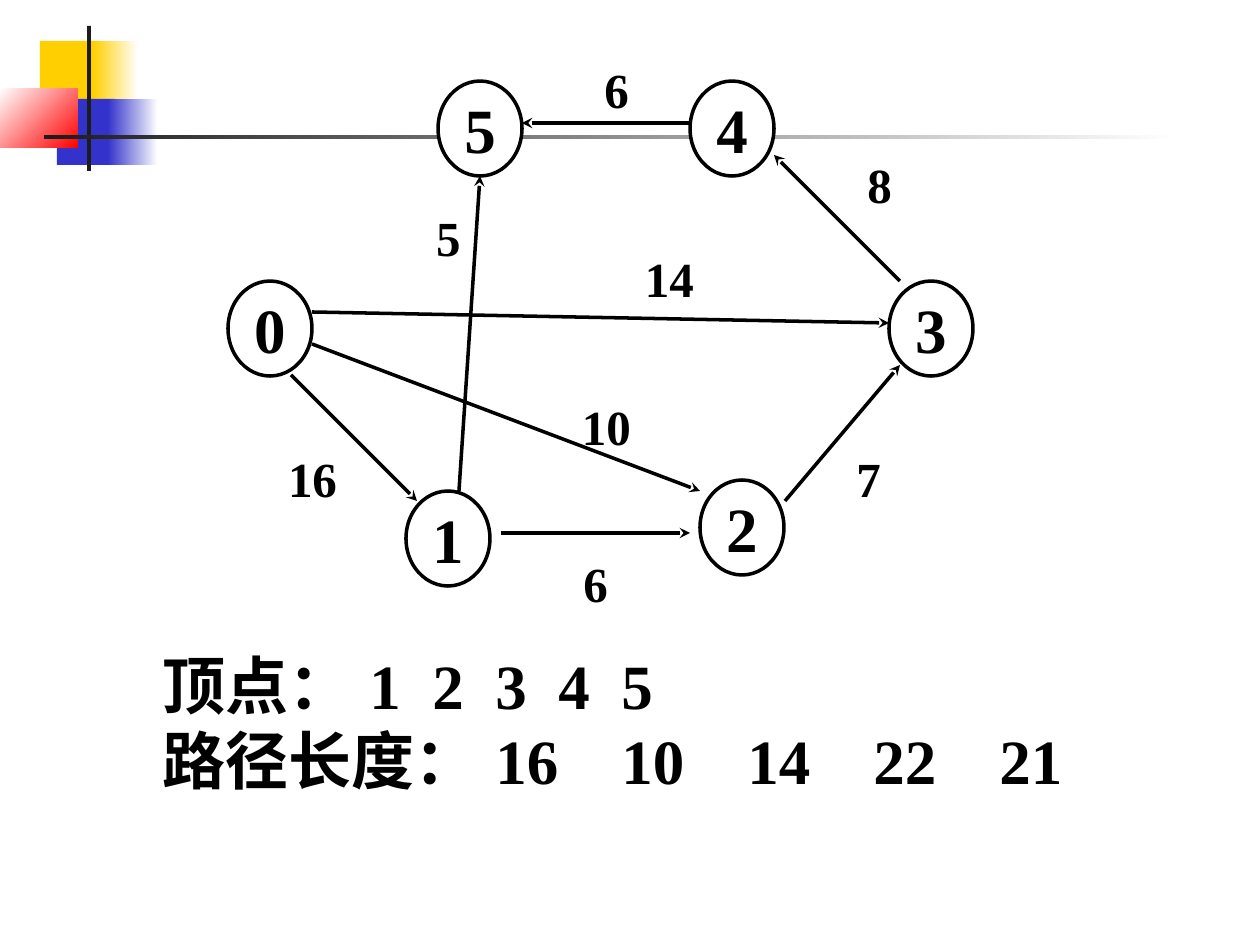
"""Build a slide with a weighted directed graph and its shortest path lengths."""
import lxml.etree
import pptx
import pptx.dml.color
import pptx.enum.shapes
import pptx.enum.text
import pptx.oxml.ns
import pptx.util

PX = 914400 / 126
FONT = "Times New Roman"
RGB = pptx.dml.color.RGBColor
BLACK, WHITE = RGB(0, 0, 0), RGB(255, 255, 255)
YELLOW, BLUE = RGB(0xFF, 0xCF, 0x01), RGB(0x33, 0x33, 0xCC)
RED, DARK = RGB(255, 0, 0), RGB(0x1C, 0x1C, 0x1C)
SHAPE = pptx.enum.shapes.MSO_SHAPE
CENTER = pptx.enum.text.PP_ALIGN.CENTER
MIDDLE = pptx.enum.text.MSO_ANCHOR.MIDDLE

DECORATION = [
    ((40, 41, 60, 66), [YELLOW], 0),
    ((93, 41, 45, 66), [YELLOW, WHITE], 0),
    ((57, 99, 58, 66), [BLUE], 0),
    ((108, 99, 50, 66), [BLUE, WHITE], 0),
    ((0, 89, 78, 59), [WHITE, RED], 315),
    ((87, 26, 4, 145), [DARK], 0),
    ((44, 135, 1134, 4), [DARK, WHITE], 0),
]
NODE_SIZE = (84, 95)
NODES = {"4": (690, 81), "5": (438, 81), "3": (889, 281),
         "2": (700, 480), "1": (406, 491), "0": (228, 281)}
LABEL_SIZE = (63, 59)
EDGES = [
    ((900, 281), (774, 155), "8", (848, 155)),
    ((501, 533), (690, 533), "6", (564, 554)),
    ((690, 123), (522, 123), "6", (585, 60)),
    ((785, 501), (900, 365), "7", (837, 449)),
    ((312, 312), (889, 323), "14", (638, 249)),
    ((312, 344), (700, 491), "10", (575, 397)),
    ((291, 375), (417, 501), "16", (281, 449)),
    ((459, 491), (480, 176), "5", (417, 208)),
]
TABLE_BOX = (105, 640, 1029, 164)
TABLE_INDENT, FIRST_TAB, TAB_STEP = 45, 420, 126
PATH_ROWS = [
    ("顶点：", "1", "2", "3", "4", "5"),
    ("路径长度：", "16", "10", "14", "22", "21"),
]


def px(*lengths):
    return [pptx.util.Emu(round(length * PX)) for length in lengths]


def write(paragraph, text, size, align=None, space_before=0):
    paragraph.alignment = align
    paragraph.space_before = pptx.util.Pt(space_before)
    run = paragraph.add_run()
    run.text = text
    run.font.name = FONT
    run.font.size = pptx.util.Pt(size)
    run.font.bold = True
    run.font.color.rgb = BLACK


def add_decoration(slide, box, colors, angle):
    shape = slide.shapes.add_shape(SHAPE.RECTANGLE, *px(*box))
    shape.shadow.inherit = False
    shape.line.fill.background()
    if len(colors) == 1:
        shape.fill.solid()
        shape.fill.fore_color.rgb = colors[0]
        return
    shape.fill.gradient()
    shape.fill.gradient_angle = angle
    for stop, color, position in zip(shape.fill.gradient_stops, colors, (0, 1)):
        stop.color.rgb = color
        stop.position = position


def add_node(slide, name, corner):
    shape = slide.shapes.add_shape(SHAPE.OVAL, *px(*corner, *NODE_SIZE))
    shape.shadow.inherit = False
    shape.fill.solid()
    shape.fill.fore_color.rgb = WHITE
    shape.line.color.rgb = BLACK
    shape.line.width = pptx.util.Pt(2)
    shape.text_frame.word_wrap = False
    shape.text_frame.vertical_anchor = MIDDLE
    write(shape.text_frame.paragraphs[0], name, 36, align=CENTER)


def add_arrow(slide, start, end):
    straight = pptx.enum.shapes.MSO_CONNECTOR.STRAIGHT
    arrow = slide.shapes.add_connector(straight, *px(*start, *end))
    arrow.line.color.rgb = BLACK
    arrow.line.width = pptx.util.Pt(2)
    qn = pptx.oxml.ns.qn
    lxml.etree.SubElement(arrow.line._get_or_add_ln(), qn("a:tailEnd"), type="stealth")
    lxml.etree.SubElement(arrow._element.spPr, qn("a:effectLst"))


def add_weight(slide, text, corner):
    frame = slide.shapes.add_textbox(*px(*corner, *LABEL_SIZE)).text_frame
    frame.word_wrap = True
    frame.margin_left = frame.margin_right = 0
    frame.margin_top = frame.margin_bottom = 0
    write(frame.paragraphs[0], text, 28, align=CENTER, space_before=3)


def add_path_lengths(slide):
    frame = slide.shapes.add_textbox(*px(*TABLE_BOX)).text_frame
    frame.word_wrap = True
    frame.vertical_anchor = MIDDLE
    qn = pptx.oxml.ns.qn
    for index, row in enumerate(PATH_ROWS):
        paragraph = frame.add_paragraph() if index else frame.paragraphs[0]
        write(paragraph, "\t".join(row), 36)
        properties = paragraph._p.get_or_add_pPr()
        properties.set("marL", "0")
        properties.set("indent", str(px(TABLE_INDENT)[0]))
        tabs = lxml.etree.SubElement(properties, qn("a:tabLst"))
        for column in range(len(row) - 1):
            position = px(FIRST_TAB + column * TAB_STEP)[0]
            lxml.etree.SubElement(tabs, qn("a:tab"), pos=str(position), algn="l")


def main():
    presentation = pptx.Presentation()
    presentation.slide_width, presentation.slide_height = px(1260, 945)
    slide = presentation.slides.add_slide(presentation.slide_layouts[6])
    for box, colors, angle in DECORATION:
        add_decoration(slide, box, colors, angle)
    add_path_lengths(slide)
    for name, corner in NODES.items():
        add_node(slide, name, corner)
    for start, end, weight, corner in EDGES:
        add_arrow(slide, start, end)
        add_weight(slide, weight, corner)
    presentation.save("out.pptx")


if __name__ == "__main__":
    main()
